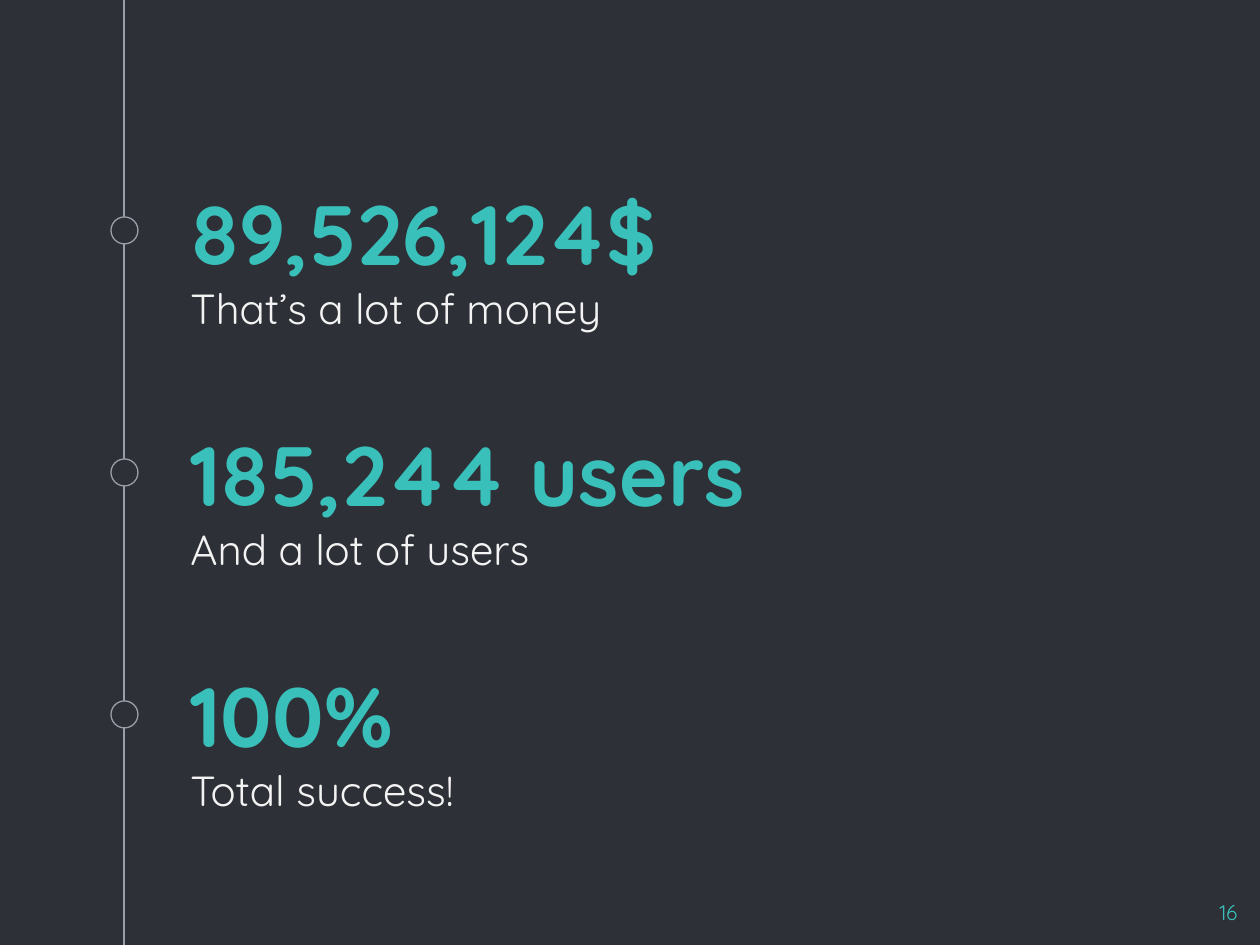
from lxml.etree import SubElement
from pptx import Presentation
from pptx.dml.color import RGBColor
from pptx.enum.shapes import MSO_CONNECTOR, MSO_SHAPE
from pptx.enum.text import MSO_ANCHOR, MSO_AUTO_SIZE, PP_ALIGN
from pptx.oxml.ns import qn
from pptx.util import Emu, Inches, Pt

PX_PER_INCH = 126
BACKGROUND = RGBColor(0x2E, 0x30, 0x37)
TEAL = RGBColor(0x39, 0xC0, 0xBA)
WHITE = RGBColor(0xF3, 0xF3, 0xF3)
GREY = RGBColor(0x99, 0x9F, 0xA9)

FIGURES = [
    ("89,526,124$", "That’s a lot of money"),
    ("185,244 users", "And a lot of users"),
    ("100%", "Total success!"),
]
TEXT_LEFT, TEXT_WIDTH = 178, 978
TEXT_PITCH = 241
TIMELINE_X = 124
MARKER_SIZE = 27
MARKER_PITCH = 242


def px(*lengths):
    """Turn pixel lengths into EMU."""
    return [Emu(round(length * Inches(1) / PX_PER_INCH)) for length in lengths]


class SlideBuilder:
    """Holds the slide and the style its elements share."""

    font = "Quicksand"
    line_width = Pt(0.75)

    def __init__(self, slide):
        self.slide = slide
        fill = slide.background.fill
        fill.solid()
        fill.fore_color.rgb = BACKGROUND

    def line(self, *ends):
        connector = self.slide.shapes.add_connector(MSO_CONNECTOR.STRAIGHT, *px(*ends))
        connector.line.color.rgb = GREY
        connector.line.width = self.line_width
        SubElement(connector._element.spPr, qn("a:effectLst"))

    def marker(self, left, top):
        shape = self.slide.shapes.add_shape(
            MSO_SHAPE.OVAL, *px(left, top, MARKER_SIZE, MARKER_SIZE))
        shape.shadow.inherit = False
        shape.fill.solid()
        shape.fill.fore_color.rgb = BACKGROUND
        shape.line.color.rgb = GREY
        shape.line.width = self.line_width

    def text(self, box, words, size, color, bold=False, align=PP_ALIGN.LEFT,
             anchor=MSO_ANCHOR.TOP, space_before=0, shape=None):
        """Write one paragraph into the given shape, or into a new text box."""
        left, top, width, height = px(*box)
        if shape is None:
            shape = self.slide.shapes.add_textbox(left, top, width, height)
        shape.left, shape.top, shape.width, shape.height = left, top, width, height
        frame = shape.text_frame
        frame.word_wrap = True
        frame.auto_size = MSO_AUTO_SIZE.NONE
        frame.vertical_anchor = anchor
        frame.margin_left = frame.margin_right = Inches(0.1)
        frame.margin_top = frame.margin_bottom = Inches(0.1)
        paragraph = frame.paragraphs[0]
        paragraph.alignment = align
        paragraph.space_before = Pt(space_before)
        run = paragraph.add_run()
        run.text = words
        run.font.name = self.font
        run.font.size = Pt(size)
        run.font.bold = bold
        run.font.color.rgb = color

    def figure(self, top, value, caption, shape=None):
        self.text((TEXT_LEFT, top, TEXT_WIDTH, 165), value, 48, TEAL, bold=True,
                  anchor=MSO_ANCHOR.BOTTOM, shape=shape)
        self.text((TEXT_LEFT, top + 140, TEXT_WIDTH, 86), caption, 24, WHITE,
                  space_before=6)


def main():
    presentation = Presentation()
    presentation.slide_width, presentation.slide_height = Inches(10), Inches(7.5)
    slide = presentation.slides.add_slide(presentation.slide_layouts[5])
    builder = SlideBuilder(slide)

    builder.line(TIMELINE_X, 0, TIMELINE_X, 945)
    for row, (value, caption) in enumerate(FIGURES):
        builder.marker(111, 217 + row * MARKER_PITCH)
        title = slide.shapes.title if row == 0 else None
        builder.figure(130 + row * TEXT_PITCH, value, caption, title)
    builder.text((1174, 887, 76, 58), "16", 12, TEAL, align=PP_ALIGN.RIGHT)

    presentation.save("out.pptx")


if __name__ == "__main__":
    main()
